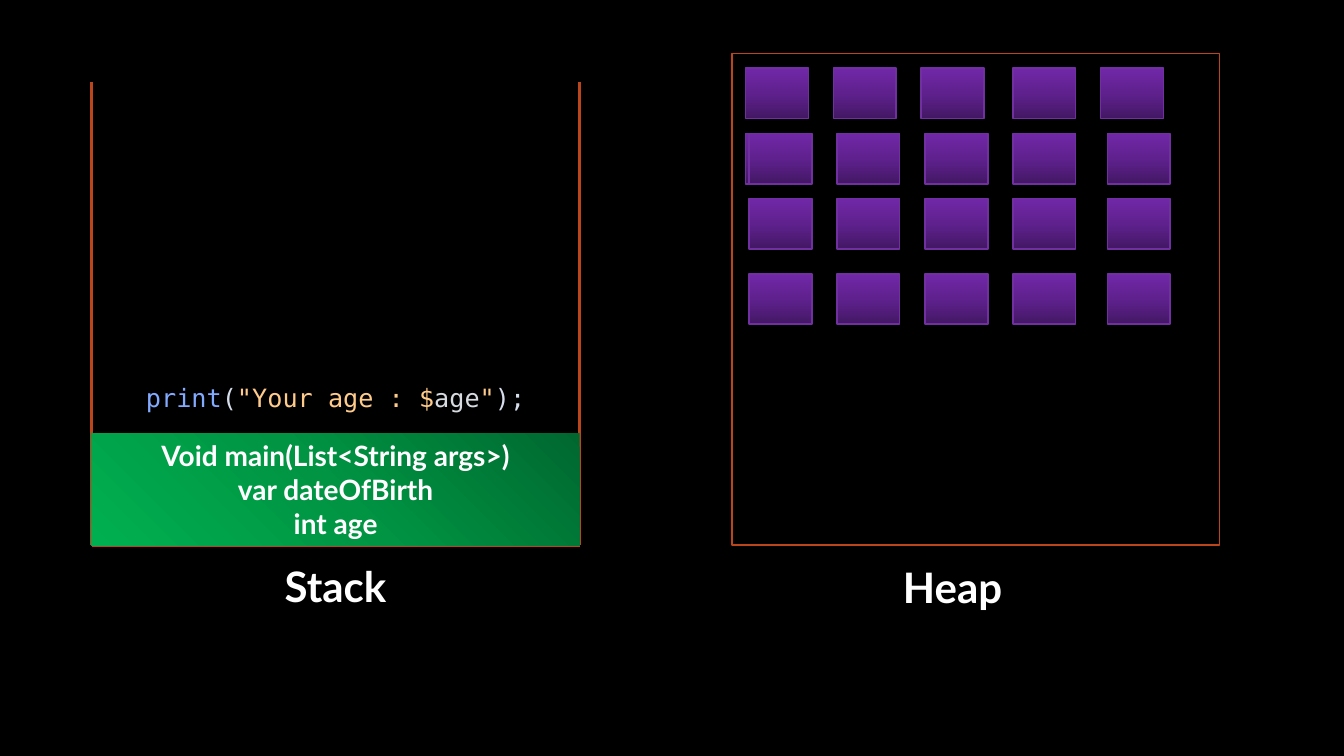
"""Build a slide that shows stack and heap memory side by side."""
from copy import deepcopy
from dataclasses import dataclass

from lxml.etree import SubElement
from pptx import Presentation
from pptx.dml.color import RGBColor
from pptx.enum.shapes import MSO_CONNECTOR as Connector, MSO_SHAPE as Shape
from pptx.enum.text import MSO_ANCHOR as Anchor, MSO_AUTO_SIZE as AutoSize, PP_ALIGN as Align
from pptx.oxml.ns import qn
from pptx.util import Pt


@dataclass(frozen=True)
class Theme:
    """Colours, fonts and sizes of the slide."""
    background: str = "000000"
    text: str = "FFFFFF"
    frame: str = "BC451B"
    cell_line: str = "7030A0"
    cell_fill: tuple = ("431764", "5F218E", "7128A8")
    call_fill: tuple = ("00682F", "009443", "00B050")
    code_function: str = "82AAFF"
    code_mark: str = "D6DEEB"
    code_string: str = "FFCB8B"
    code_variable: str = "D7DBE0"
    font: str = "Lato"
    code_font: str = "DejaVu Sans Mono"
    label_size: float = 30
    call_size: float = 20
    code_size: float = 18
    wall_width: float = 2
    outline_width: float = 1.25


THEME = Theme()
STACK_LEFT, STACK_RIGHT, STACK_TOP, FLOOR = 65.5, 414, 58.3, 389.5
FRAME_WIDTH = STACK_RIGHT - STACK_LEFT
CELL_WIDTH, CELL_HEIGHT = 44.9, 36
FIRST_ROW_LEFTS = (532.6, 595.4, 658.1, 723.4, 786.2)
ROW_LEFTS = (534.9, 597.7, 660.6, 723.4, 791.1)
ROW_TOPS = (48.6, 95.3, 141.8, 195.6)


def color(value):
    """Turn a hex string into a colour."""
    return RGBColor.from_string(value)


def add_runs(paragraph, runs, font, size, bold=False):
    """Add centred (text, colour) runs to a paragraph."""
    paragraph.alignment = Align.CENTER
    for text, run_color in runs:
        run = paragraph.add_run()
        run.text = text
        run.font.name = font
        run.font.size = Pt(size)
        run.font.bold = bold
        run.font.color.rgb = color(run_color)


def fill_gradient(shape, colors, angle):
    """Fill a shape with three evenly spaced gradient stops."""
    shape.fill.gradient()
    shape.fill.gradient_angle = angle
    stop_list = next(shape.element.iter(qn("a:gsLst")))
    stop_list.append(deepcopy(stop_list[-1]))
    for index, (stop, value) in enumerate(zip(shape.fill.gradient_stops, colors)):
        stop.position = index / 2
        stop.color.rgb = color(value)


def add_box(slide, left, top, width, height, line=None):
    """Add an unfilled rectangle with an optional outline."""
    shape = slide.shapes.add_shape(Shape.RECTANGLE, Pt(left), Pt(top), Pt(width), Pt(height))
    shape.shadow.inherit = False
    shape.fill.background()
    if line:
        shape.line.color.rgb = color(line)
        shape.line.width = Pt(THEME.outline_width)
    else:
        shape.line.fill.background()
    return shape


def add_cell(slide, left, top):
    """Add one memory cell of the heap."""
    cell = add_box(slide, left, top, CELL_WIDTH, CELL_HEIGHT, THEME.cell_line)
    fill_gradient(cell, THEME.cell_fill, 90)


def add_wall(slide, start, end):
    """Add one straight wall of the stack."""
    wall = slide.shapes.add_connector(Connector.STRAIGHT, *map(Pt, start + end))
    wall.line.color.rgb = color(THEME.frame)
    wall.line.width = Pt(THEME.wall_width)
    SubElement(wall.element.spPr, qn("a:effectLst"))


def add_text_box(slide, left, top, width, height):
    """Add a wrapping text box and return its text frame."""
    text_frame = slide.shapes.add_textbox(Pt(left), Pt(top), Pt(width), Pt(height)).text_frame
    text_frame.word_wrap = True
    return text_frame


def add_label(slide, text, left, top):
    """Add the name under a memory area."""
    text_frame = add_text_box(slide, left, top, 282.2, 40.3)
    text_frame.vertical_anchor = Anchor.MIDDLE
    add_runs(text_frame.paragraphs[0], [(text, THEME.text)], THEME.font, THEME.label_size, True)


def add_call(slide, lines):
    """Add the call frame at the bottom of the stack."""
    top = 309.6
    call = add_box(slide, STACK_LEFT, top, FRAME_WIDTH, FLOOR - top)
    fill_gradient(call, THEME.call_fill, 225)
    text_frame = call.text_frame
    text_frame.vertical_anchor = Anchor.MIDDLE
    for index, line in enumerate(lines):
        paragraph = text_frame.add_paragraph() if index else text_frame.paragraphs[0]
        add_runs(paragraph, [(line, THEME.text)], THEME.font, THEME.call_size, True)


def add_code(slide, runs):
    """Add the highlighted line of code above the call frame."""
    text_frame = add_text_box(slide, STACK_LEFT, 269.3, FRAME_WIDTH, 29.1)
    text_frame.auto_size = AutoSize.SHAPE_TO_FIT_TEXT
    add_runs(text_frame.paragraphs[0], runs, THEME.code_font, THEME.code_size)


def add_stack(slide):
    """Draw the stack with its label, call frame and code."""
    left_floor, right_floor = (STACK_LEFT, FLOOR), (STACK_RIGHT, FLOOR)
    add_wall(slide, (STACK_LEFT, STACK_TOP), left_floor)
    add_wall(slide, right_floor, left_floor)
    add_wall(slide, (STACK_RIGHT, STACK_TOP), right_floor)
    add_label(slide, "Stack", 98.6, 398.2)
    add_call(slide, ["Void main(List<String args>)", "var dateOfBirth", "int age"])
    add_code(slide, [
        ("print", THEME.code_function),
        ("(", THEME.code_mark),
        ('"Your age : $', THEME.code_string),
        ("age", THEME.code_variable),
        ('"', THEME.code_string),
        (");", THEME.code_mark),
    ])


def add_heap(slide):
    """Draw the heap with its cells and label."""
    top = 38.2
    add_box(slide, 522.7, top, FRAME_WIDTH, FLOOR - top, THEME.frame)
    for left in FIRST_ROW_LEFTS:
        add_cell(slide, left, ROW_TOPS[0])
    add_cell(slide, FIRST_ROW_LEFTS[0], ROW_TOPS[1])
    for row_top in ROW_TOPS[1:]:
        for left in ROW_LEFTS:
            add_cell(slide, left, row_top)
    add_label(slide, "Heap", 539.3, 398.9)


def main():
    """Build and save the presentation."""
    presentation = Presentation()
    presentation.slide_width, presentation.slide_height = Pt(960), Pt(540)
    slide = presentation.slides.add_slide(presentation.slide_layouts[6])
    slide.background.fill.solid()
    slide.background.fill.fore_color.rgb = color(THEME.background)
    add_stack(slide)
    add_heap(slide)
    presentation.save("out.pptx")


if __name__ == "__main__":
    main()
